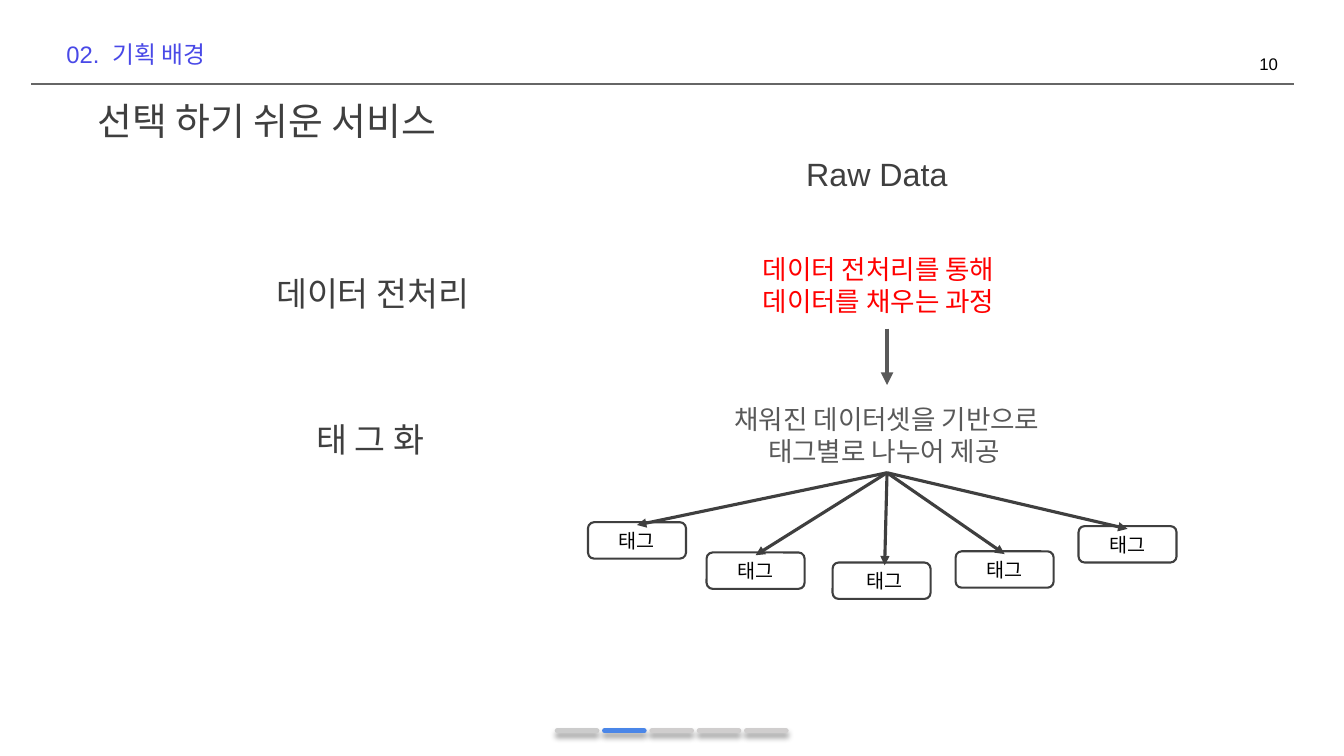
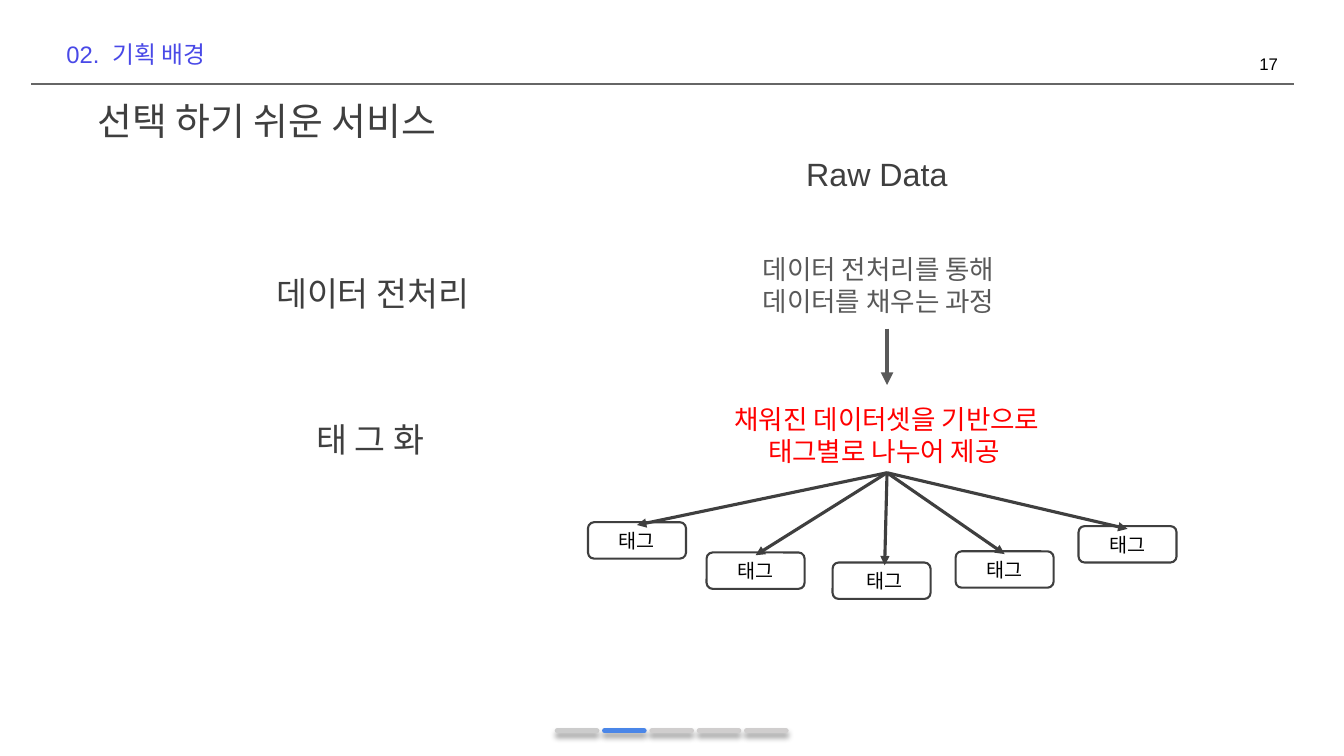
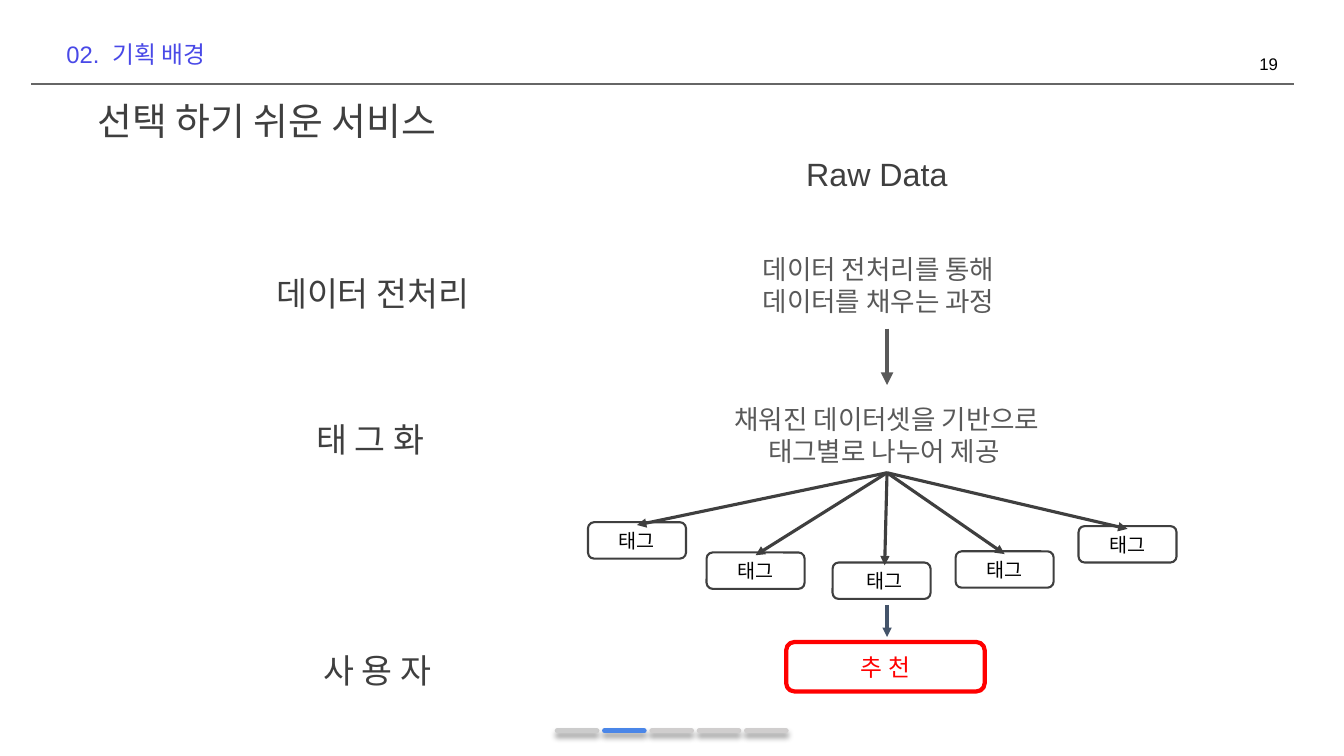
from lxml.etree import SubElement
from pptx import Presentation
from pptx.dml.color import RGBColor
from pptx.enum.shapes import MSO_CONNECTOR as Connector, MSO_SHAPE as Preset
from pptx.enum.text import MSO_ANCHOR as Anchor, PP_ALIGN as Align
from pptx.oxml.ns import qn
from pptx.util import Pt

INK = RGBColor(0x3F, 0x3F, 0x3F)
GREY = RGBColor(0x59, 0x59, 0x59)
RULE = RGBColor(0x66, 0x66, 0x66)
RED = RGBColor(0xFF, 0x00, 0x00)
BLACK = RGBColor(0x00, 0x00, 0x00)
INDIGO = RGBColor(0x49, 0x49, 0xE7)
SLATE = RGBColor(0x44, 0x54, 0x6A)
STEP_DONE = RGBColor(0xCC, 0xCC, 0xCC)
STEP_NOW = RGBColor(0x4A, 0x86, 0xE8)
STEP_NEXT = RGBColor(0xD0, 0xCE, 0xCE)

FONT = "Arial"
AXIS = 633.6
FAN_TOP = 337.7
TAG_WIDTH, TAG_HEIGHT = 70, 26
TAGS = [(420, 373, 0), (504.7, 394.6, 0), (682.6, 393.8, 0),
        (770.4, 375.8, 0), (594.7, 401.8, 2.2)]
STEPS = [STEP_DONE, STEP_NOW, STEP_NEXT, STEP_NEXT, STEP_NEXT]
STEP_LEFT, STEP_PITCH, STEP_WIDTH, STEP_TOP = 398, 33.8, 28.4, 522


class Deck:
    """Holds the shared style and the slide being built."""

    def __init__(self):
        """Start an empty widescreen deck."""
        self.deck = Presentation()
        self.deck.slide_width, self.deck.slide_height = Pt(960), Pt(540)
        self.slide = None

    def add_words(self, paragraph, wording, size, color):
        """Add one styled run and return it."""
        run = paragraph.add_run()
        run.text = wording
        run.font.name, run.font.size = FONT, Pt(size)
        run.font.color.rgb = color
        return run

    def text(self, box, lines, size, color=INK, align=Align.CENTER, inset=3.6):
        """Add a text box with one paragraph per line and return its frame."""
        frame = self.slide.shapes.add_textbox(*map(Pt, box)).text_frame
        frame.word_wrap = True
        frame.margin_left = frame.margin_right = Pt(7.2)
        frame.margin_top = frame.margin_bottom = Pt(inset)
        for index, line in enumerate(lines):
            paragraph = frame.add_paragraph() if index else frame.paragraphs[0]
            paragraph.alignment = align
            self.add_words(paragraph, line, size, color)
        return frame

    def line(self, start, end, color, width, arrow=False, shadow=False):
        """Add a straight line, optionally an arrow or a shadowed round bar."""
        stroke = self.slide.shapes.add_connector(
            Connector.STRAIGHT, *map(Pt, (*start, *end)))
        stroke.line.color.rgb, stroke.line.width = color, Pt(width)
        properties = stroke._element.spPr
        outline = properties.find(qn("a:ln"))
        if arrow:
            SubElement(outline, qn("a:tailEnd"), type="triangle")
        effects = SubElement(properties, qn("a:effectLst"))
        if shadow:
            outline.set("cap", "rnd")
            cast = SubElement(effects, qn("a:outerShdw"), blurRad=str(Pt(4)),
                              dist=str(Pt(3)), dir="5400000", rotWithShape="0")
            tint = SubElement(cast, qn("a:srgbClr"), val=str(BLACK))
            SubElement(tint, qn("a:alpha"), val="40000")

    def label_box(self, box, wording, size, color, border, width, shift=0):
        """Add an unfilled rounded box with a centred label."""
        outline = self.slide.shapes.add_shape(Preset.ROUNDED_RECTANGLE, *map(Pt, box))
        outline.shadow.inherit = False
        outline.fill.background()
        outline.line.color.rgb, outline.line.width = border, Pt(width)
        frame = outline.text_frame
        frame.vertical_anchor = Anchor.MIDDLE
        frame.margin_left, frame.margin_right = Pt(2 * shift), 0
        frame.margin_top = frame.margin_bottom = 0
        frame.paragraphs[0].alignment = Align.CENTER
        self.add_words(frame.paragraphs[0], wording, size, color)

    def section(self, number, name):
        """Add the section heading with a widened gap after its number."""
        frame = self.text((40.3, 24.5, 190, 28), [number], 17, INDIGO, Align.LEFT)
        heading = frame.paragraphs[0]
        gap = self.add_words(heading, " ", 17, INDIGO)
        gap._r.get_or_add_rPr().set("spc", "470")
        self.add_words(heading, name, 17, INDIGO)

    def start(self, page):
        """Open a slide with its heading, rule, page number and step bars."""
        self.slide = self.deck.slides.add_slide(self.deck.slide_layouts[6])
        self.text((62.6, 66.2, 310, 40), ["선택 하기 쉬운 서비스"], 27, align=Align.LEFT)
        self.section("02.", "기획 배경")
        self.line((22.3, 60), (924.5, 60), RULE, 1.5)
        self.text((887.8, 31, 36.7, 28.8), [page], 12, BLACK, inset=7.2)
        for index, color in enumerate(STEPS):
            left = STEP_LEFT + index * STEP_PITCH
            self.line((left, STEP_TOP), (left + STEP_WIDTH, STEP_TOP),
                      color, 3.5, shadow=True)

    def flow(self, fill_color, tag_color):
        """Add the flow from raw data to tags."""
        self.text((548.6, 106.6, 162, 35.3), ["Raw Data "], 23)
        self.text((170.6, 191.5, 196.6, 36), ["데이터 전처리 "], 24)
        self.text((193, 296, 142.6, 36), ["태 그 화"], 24)
        self.text((512, 177, 235.4, 53.3),
                  ["데이터 전처리를 통해 ", "데이터를 채우는 과정 "], 19, fill_color)
        self.line((AXIS, 234.7), (AXIS, 275), GREY, 3, arrow=True)
        self.text((511.2, 284.4, 244.8, 53.3),
                  ["채워진 데이터셋을 기반으로", "태그별로 나누어 제공 "], 19, tag_color)
        for left, top, shift in TAGS:
            tip = (left + TAG_WIDTH / 2 + shift, top + 2)
            self.line((AXIS, FAN_TOP), tip, INK, 2.25, arrow=True)
            self.label_box((left, top, TAG_WIDTH, TAG_HEIGHT), "태그", 14,
                           BLACK, INK, 1.5, shift)

    def recommendation(self):
        """Add the closing step for the user."""
        self.text((198, 460.8, 142.6, 36), ["사 용 자"], 24)
        self.line((AXIS, 432), (AXIS, 455), SLATE, 2.25, arrow=True)
        self.label_box((561.6, 458.6, 141.8, 35.3), "추 천", 17, RED, RED, 3)


def main():
    """Build the three slides and save them."""
    deck = Deck()
    for page, fill_color, tag_color in [("10", RED, GREY), ("17", GREY, RED),
                                        ("19", GREY, GREY)]:
        deck.start(page)
        deck.flow(fill_color, tag_color)
    deck.recommendation()
    deck.deck.save("out.pptx")


if __name__ == "__main__":
    main()
